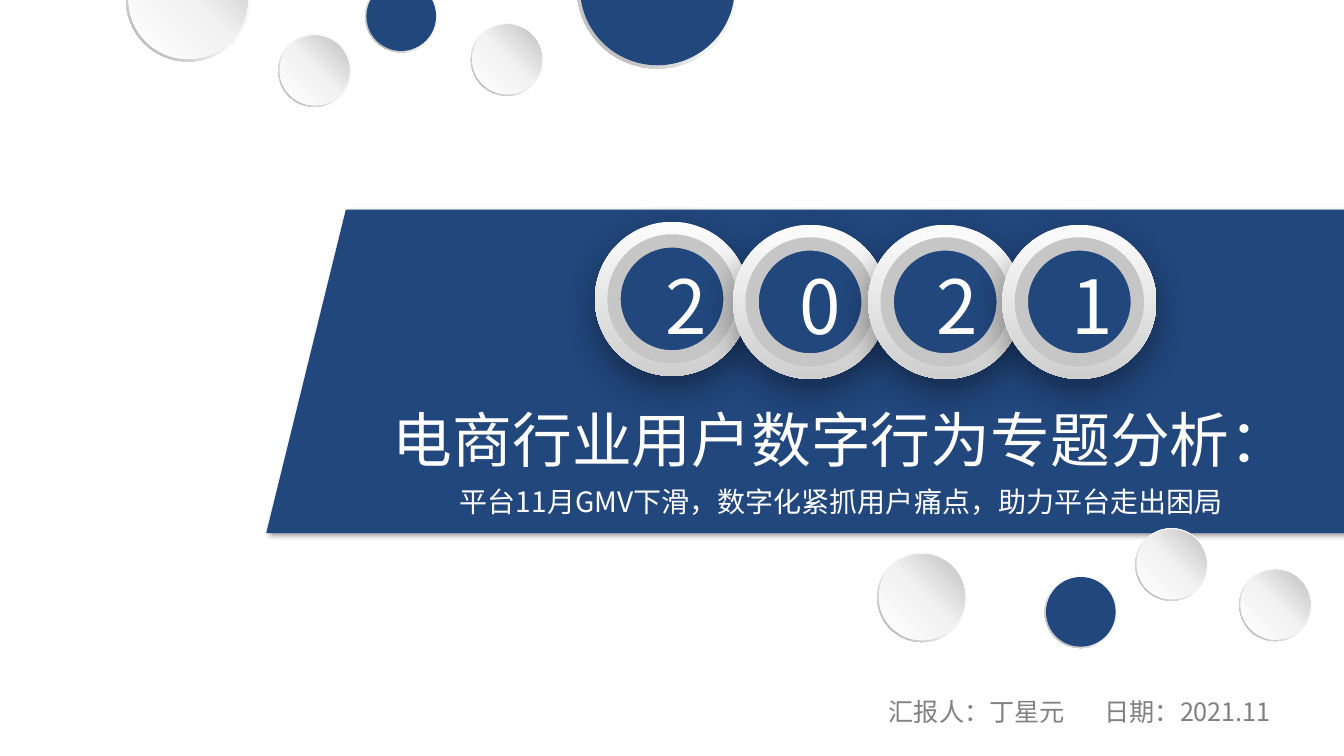
import pptx
import pptx.util
import pptx.dml.color
import pptx.enum.shapes
import pptx.enum.text
import pptx.oxml.ns
import lxml.etree

RGB = pptx.dml.color.RGBColor
BLUE = RGB(0x22, 0x47, 0x7D)
WHITE = RGB(0xFF, 0xFF, 0xFF)
GRAY = RGB(0x80, 0x80, 0x80)
RING = RGB(0xC6, 0xC6, 0xC6)
PALE = RGB(0xF2, 0xF2, 0xF2)
EDGE = (135, [(0, WHITE), (55, PALE), (100, RGB(0xA6, 0xA6, 0xA6))])
PEARL = (315, [(0, WHITE), (51, PALE), (100, RGB(0xBF, 0xBF, 0xBF))])
METAL = (90, [(0, RGB(0xFC, 0xFC, 0xFC)), (100, RGB(0xCF, 0xCF, 0xCF))])
FONT = "Noto Sans CJK SC"
OVAL = pptx.enum.shapes.MSO_SHAPE.OVAL
DONUT = pptx.enum.shapes.MSO_SHAPE.DONUT
qn = pptx.oxml.ns.qn
Sub = lxml.etree.SubElement

deck = pptx.Presentation()
deck.slide_width = pptx.util.Inches(13.33)
deck.slide_height = pptx.util.Inches(7.5)
slide = deck.slides.add_slide(deck.slide_layouts[6])
CELL = deck.slide_width / 133.3


def disc(group, kind, x, y, size, paint):
    shape = group.shapes.add_shape(kind, *[round(v * CELL) for v in (x, y, size, size)])
    shape.shadow.inherit = False
    shape.line.fill.background()
    if isinstance(paint, RGB):
        shape.fill.solid()
        shape.fill.fore_color.rgb = paint
        return shape
    angle, stops = paint
    shape.fill.gradient()
    grad = shape._element.spPr.find(qn("a:gradFill"))
    for child in list(grad):
        grad.remove(child)
    row = Sub(grad, qn("a:gsLst"))
    for pos, tone in stops:
        stop = Sub(row, qn("a:gs"), pos=str(pos * 1000))
        Sub(stop, qn("a:srgbClr"), val=str(tone))
    Sub(grad, qn("a:lin"), ang=str(angle * 60000), scaled="0")
    return shape


def cast(shape, blur, dist, angle):
    shape.shadow.inherit = False
    list_ = shape._element.spPr.find(qn("a:effectLst"))
    shade = Sub(list_, qn("a:outerShdw"), blurRad=str(blur * 12700),
                dist=str(dist * 12700), dir=str(angle * 60000),
                algn="ctr", rotWithShape="0")
    tone = Sub(shade, qn("a:srgbClr"), val="000000")
    Sub(tone, qn("a:alpha"), val="40000")


points = [(round(x * CELL), round(y * CELL)) for x, y in
          [(34.3, 20.8), (135.6, 20.8), (135.6, 52.9), (26.4, 52.9)]]
pen = slide.shapes.build_freeform(*points[0])
pen.add_line_segments(points[1:], close=True)
banner = pen.convert_to_shape()
banner.fill.solid()
banner.fill.fore_color.rgb = BLUE
banner.line.fill.background()
cast(banner, 4, 3, 45)

for x, y in [(59, 22), (72.7, 22.3), (86.1, 22.3), (99.4, 22.3)]:
    badge = slide.shapes.add_group_shape()
    cast(disc(badge, OVAL, x, y, 15.3, METAL), 25, 9, 90)
    face = disc(badge, OVAL, x + 1.9, y + 1.9, 11.5, BLUE)
    face.line.color.rgb = RING
    face.line.width = pptx.util.Pt(9.5)

texts = [(x, 25.3, 3.9, 10, 0.1, WHITE, [(digit, 53.3, None)])
         for x, digit in zip([65, 78.3, 91.9, 105.3], "2021")]
texts += [
    (36.8, 37.8, 93.3, 13.3, 0, WHITE, [
        ("电商行业用户数字行为专题分析：", 42.7, 1.3),
        ("平台11月GMV下滑，数字化紧抓用户痛点，助力平台走出困局", 20, 1.3)]),
    (85.1, 67.9, 23.6, 5.3, 0.1, GRAY, [("汇报人：丁星元", 18, None)]),
    (106, 67.9, 23.6, 5.3, 0.1, GRAY, [("日期：2021.11", 18, None)]),
]
for x, y, wide, high, inset, tone, lines in texts:
    box = slide.shapes.add_textbox(*[round(v * CELL) for v in (x, y, wide, high)])
    frame = box.text_frame
    frame.word_wrap = True
    frame.margin_left = frame.margin_right = pptx.util.Inches(inset)
    frame.margin_top = frame.margin_bottom = pptx.util.Inches(inset / 2)
    if tone == GRAY:
        frame.vertical_anchor = pptx.enum.text.MSO_ANCHOR.MIDDLE
    else:
        frame.auto_size = pptx.enum.text.MSO_AUTO_SIZE.SHAPE_TO_FIT_TEXT
    frame.text = "\n".join(line[0] for line in lines)
    for para, (words, size, lead) in zip(frame.paragraphs, lines):
        para.alignment = pptx.enum.text.PP_ALIGN.CENTER
        para.line_spacing = lead
        para.font.size = pptx.util.Pt(size)
        para.font.color.rgb = tone
        para.font.name = FONT
        Sub(para._p.pPr.find(qn("a:defRPr")), qn("a:ea"), typeface=FONT)

for x, y, size, paint in [
    (12.5, -6.2, 12.3, PEARL),
    (27.6, 3.4, 7.2, PEARL),
    (36.2, -2, 7.2, BLUE),
    (46.7, 2.3, 7.2, PEARL),
    (57.2, -9.2, 16, BLUE),
    (87, 54.8, 8.9, PEARL),
    (112.6, 52.4, 7.2, PEARL),
    (103.6, 57.1, 7.2, BLUE),
    (122.9, 56.4, 7.2, PEARL),
]:
    ball = slide.shapes.add_group_shape()
    rim = disc(ball, DONUT, x, y, size, EDGE)
    rim.adjustments[0] = 0.05
    disc(ball, OVAL, x + size * 0.02, y + size * 0.02, size * 0.96, paint)

deck.save("out.pptx")
